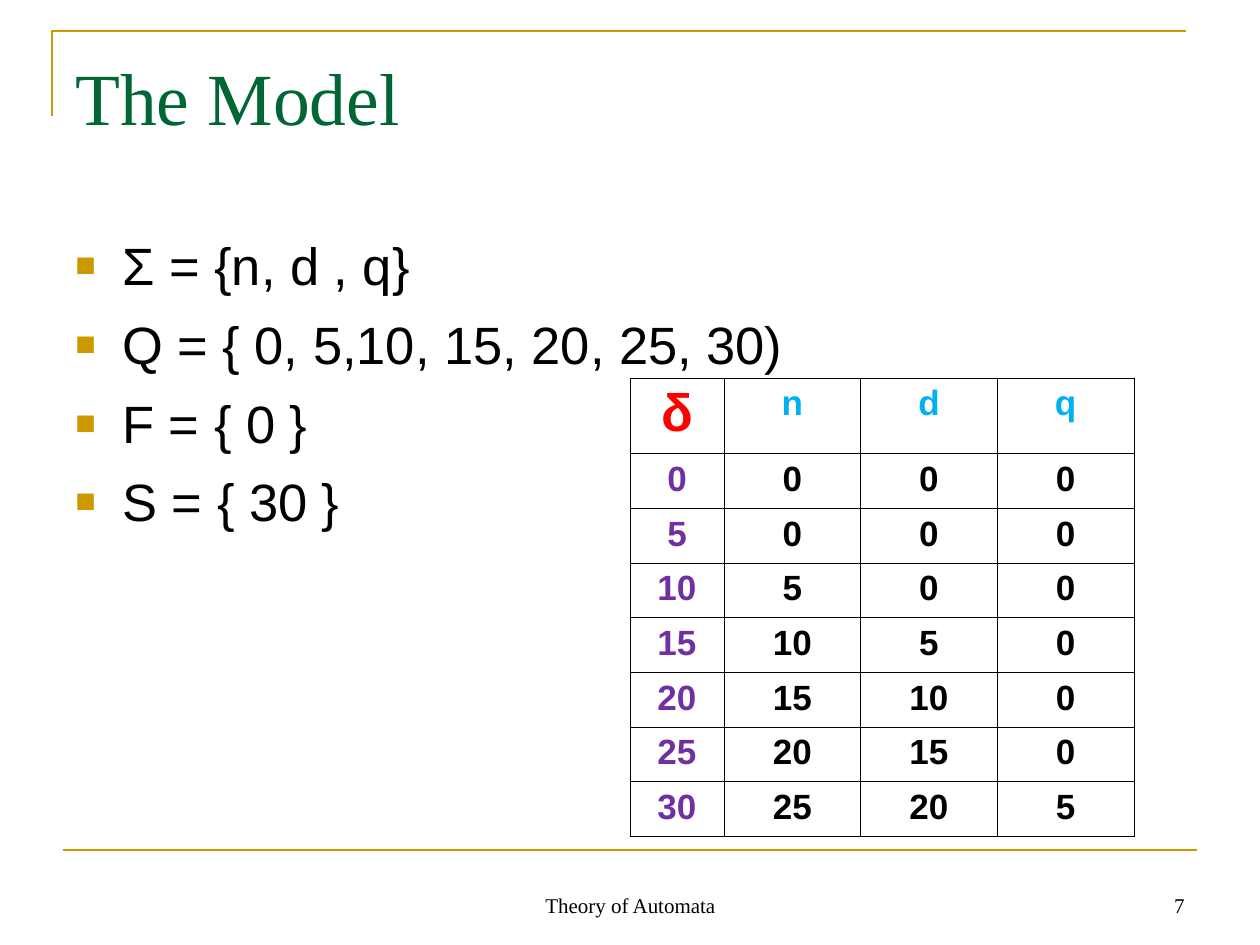
from lxml.etree import SubElement
from pptx import Presentation
from pptx.dml.color import RGBColor
from pptx.enum.shapes import MSO_CONNECTOR
from pptx.enum.text import MSO_ANCHOR, PP_ALIGN
from pptx.oxml.ns import qn
from pptx.util import Emu, Pt

GOLD = RGBColor(0xCC, 0x99, 0x00)
GREEN = RGBColor(0x00, 0x66, 0x33)
BLACK = RGBColor(0x00, 0x00, 0x00)
RED = RGBColor(0xFF, 0x00, 0x00)
SKY = RGBColor(0x00, 0xB0, 0xF0)
PURPLE = RGBColor(0x70, 0x30, 0xA0)
SERIF = "Times New Roman"
SANS = "Arial"

DEFINITIONS = [
    "Σ = {n, d , q}",
    "Q = { 0, 5,10, 15, 20, 25, 30)",
    "F = { 0 }",
    "S = { 30 }",
]
TRANSITIONS = [
    ["δ", "n", "d", "q"],
    ["0", "0", "0", "0"],
    ["5", "0", "0", "0"],
    ["10", "5", "0", "0"],
    ["15", "10", "5", "0"],
    ["20", "15", "10", "0"],
    ["25", "20", "15", "0"],
    ["30", "25", "20", "5"],
]


def px(length):
    return Emu(round(length * 914400 / 126))


def set_font(paragraph, name, size, color, bold=False):
    font = paragraph.font
    font.name, font.size, font.bold = name, Pt(size), bold
    font.color.rgb = color


def add_frame(slide, box, anchor=MSO_ANCHOR.TOP, top_inset=6):
    frame = slide.shapes.add_textbox(*map(px, box)).text_frame
    frame.word_wrap = True
    frame.vertical_anchor = anchor
    frame.margin_top = px(top_inset)
    return frame


def add_rules(slide, left, top, width, height):
    corner_height, inset = 85, 11
    builder = slide.shapes.build_freeform(px(left), px(top + corner_height))
    builder.add_line_segments(
        [(px(left), px(top)), (px(left + width), px(top))], close=False
    )
    corner = builder.convert_to_shape()
    corner.shadow.inherit = False
    corner.fill.background()

    bottom = px(top + height)
    footer_rule = slide.shapes.add_connector(
        MSO_CONNECTOR.STRAIGHT,
        px(left + inset), bottom, px(left + inset + width), bottom,
    )
    SubElement(footer_rule._element.spPr, qn("a:effectLst"))
    for rule in (corner, footer_rule):
        rule.line.color.rgb = GOLD
        rule.line.width = Pt(1.5)


def add_title(slide, *box):
    heading = add_frame(slide, box, top_inset=14).paragraphs[0]
    heading.text = "The Model"
    set_font(heading, SERIF, 42, GREEN)


def add_bullet(paragraph, indent):
    properties = paragraph._p.get_or_add_pPr()
    properties.set("marL", str(indent))
    properties.set("indent", str(-indent))
    color = SubElement(properties, qn("a:buClr"))
    SubElement(color, qn("a:srgbClr"), val=str(GOLD))
    SubElement(properties, qn("a:buSzPct"), val="65000")
    SubElement(properties, qn("a:buFont"), typeface=SANS)
    SubElement(properties, qn("a:buChar"), char="■")


def add_definitions(slide, *box):
    frame = add_frame(slide, box, top_inset=12)
    for index, definition in enumerate(DEFINITIONS):
        paragraph = frame.add_paragraph() if index else frame.paragraphs[0]
        paragraph.text = definition
        add_bullet(paragraph, px(47))
        if index:
            paragraph.space_before = Pt(9)
        set_font(paragraph, SANS, 30, BLACK)


def add_borders(cell):
    properties = cell._tc.get_or_add_tcPr()
    for position, side in enumerate(("a:lnL", "a:lnR", "a:lnT", "a:lnB")):
        border = SubElement(properties, qn(side), w=str(Pt(0.45)))
        fill = SubElement(border, qn("a:solidFill"))
        SubElement(fill, qn("a:srgbClr"), val=str(BLACK))
        properties.insert(position, border)


def cell_color(row, column):
    if row == 0:
        return SKY if column else RED
    return BLACK if column else PURPLE


def add_transitions(slide, left, top, width, height):
    state_width, header_height = 94, 75
    row_count, column_count = len(TRANSITIONS), len(TRANSITIONS[0])
    table = slide.shapes.add_table(
        row_count, column_count, px(left), px(top), px(width), px(height)
    ).table
    for index, column in enumerate(table.columns):
        input_width = (width - state_width) / (column_count - 1)
        column.width = px(input_width if index else state_width)
    for index, row in enumerate(table.rows):
        state_height = (height - header_height) / (row_count - 1)
        row.height = px(state_height if index else header_height)

    for row, values in enumerate(TRANSITIONS):
        for column, value in enumerate(values):
            cell = table.cell(row, column)
            cell.fill.background()
            add_borders(cell)
            paragraph = cell.text_frame.paragraphs[0]
            paragraph.text = value
            paragraph.alignment = PP_ALIGN.CENTER
            size = 30 if row == column == 0 else 20
            set_font(paragraph, SANS, size, cell_color(row, column), bold=True)


def add_footer(slide, left, top, width, height):
    course_width, number_width = 399, 294
    course_box = (left, top, course_width, height)
    number_box = (left + width - number_width, top, number_width, height)
    for text, box, alignment in (
        ("Theory of Automata", course_box, PP_ALIGN.CENTER),
        ("7", number_box, PP_ALIGN.RIGHT),
    ):
        paragraph = add_frame(slide, box, MSO_ANCHOR.BOTTOM).paragraphs[0]
        paragraph.text = text
        paragraph.alignment = alignment
        set_font(paragraph, SERIF, 12, BLACK)


def main():
    presentation = Presentation()
    presentation.slide_width, presentation.slide_height = px(1260), px(945)
    slide = presentation.slides.add_slide(presentation.slide_layouts[6])
    add_rules(slide, 52, 31, 1134, 819)
    add_footer(slide, 431, 861, 766, 63)
    add_title(slide, 63, 38, 1134, 157)
    add_definitions(slide, 63, 221, 1134, 623)
    add_transitions(slide, 630, 378, 504, 458)
    presentation.save("out.pptx")


if __name__ == "__main__":
    main()
